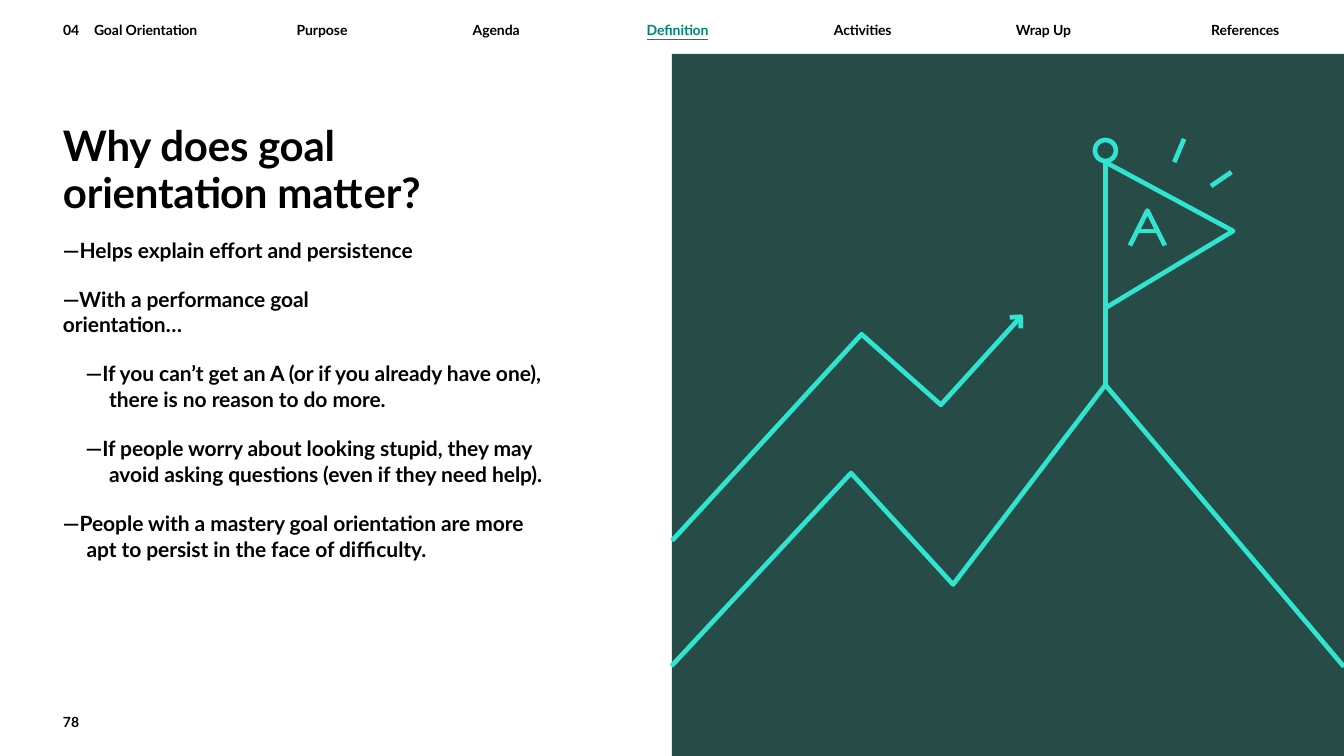
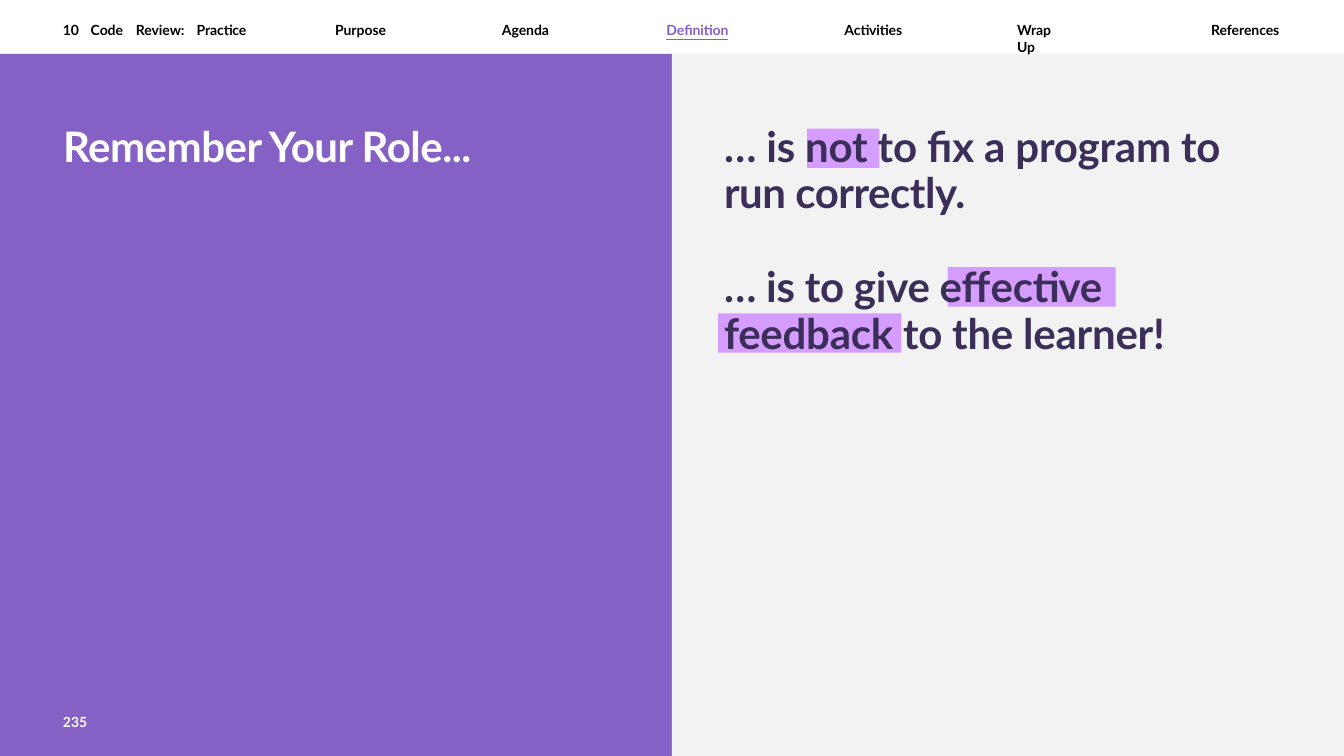
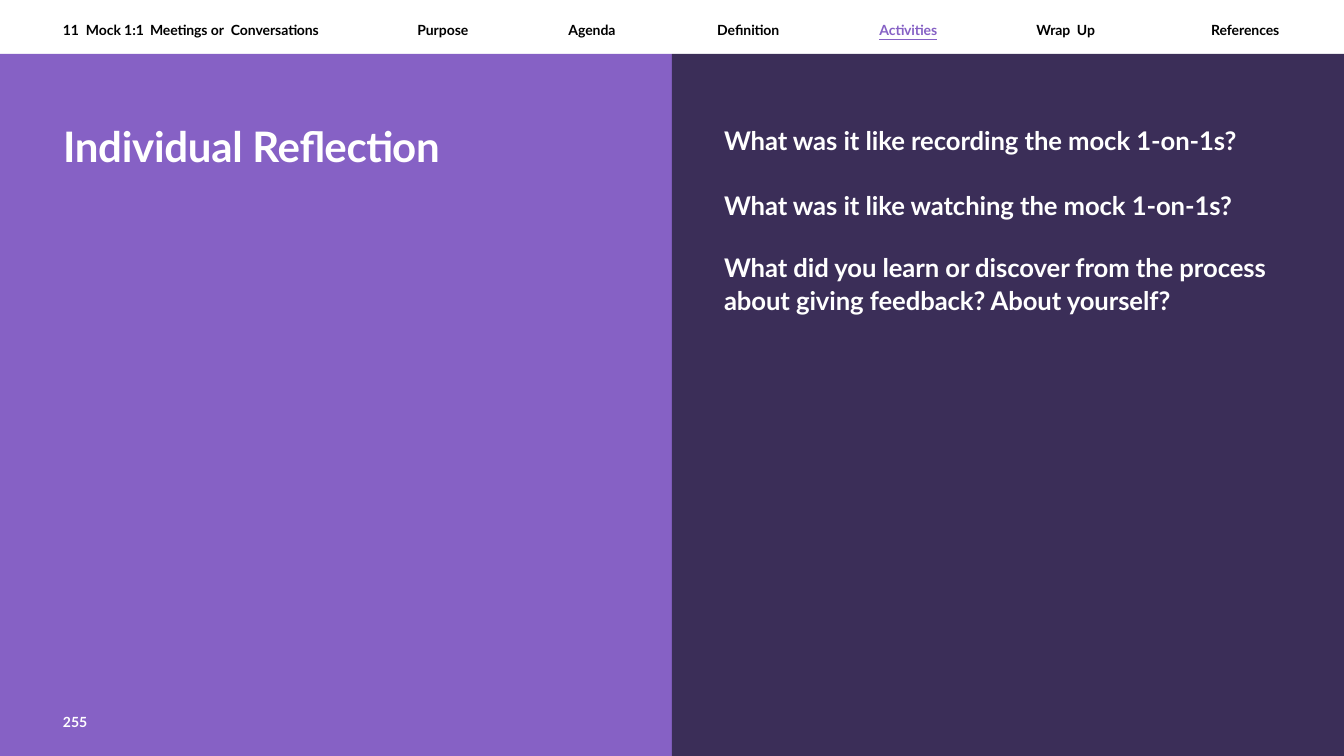
from dataclasses import dataclass
from typing import NamedTuple

from lxml.etree import SubElement
from pptx import Presentation
from pptx.dml.color import RGBColor as Rgb
from pptx.enum.shapes import MSO_CONNECTOR as Connector, MSO_SHAPE as Preset
from pptx.enum.text import MSO_ANCHOR as Anchor
from pptx.oxml.ns import qn
from pptx.util import Pt


# Theme: colours, type sizes and the shared frame
@dataclass(frozen=True)
class Theme:
    font: str = "Lato"
    black: str = "000000"
    white: str = "FFFFFF"
    grey: str = "F2F2F2"
    purple: str = "8661C5"
    plum: str = "3B2E58"
    lilac: str = "D59DFF"
    forest: str = "274B47"
    teal: str = "008575"
    aqua: str = "30E5D0"
    title: float = 36
    question: float = 22
    body: float = 18
    small: float = 12
    stroke: float = 4
    width: float = 1152
    height: float = 648
    band: float = 46
    margin: float = 54
    right_column: float = 620.6
    title_top: float = 103


THEME = Theme()
HALF = THEME.width / 2


class Box(NamedTuple):
    left: float
    top: float
    width: float
    height: float


@dataclass(frozen=True)
class Para:
    text: str
    size: float
    color: str
    spacing: float = 0
    before: float = 0
    line: float | None = None  # a multiple of the line height
    line_points: float | None = None
    left: float = 0
    first: float = 0
    tabs: tuple[float, ...] = ()
    underline: bool = False


@dataclass(frozen=True)
class Nav:
    topic: str
    tabs: tuple[float, ...]
    start: float
    gap: float
    active: str
    accent: str
    wrap_up: str = "Wrap Up"
    wrap_tabs: tuple[float, ...] = ()


# Drawing helpers
def points(box: Box) -> list:
    return [Pt(length) for length in box]


def add_text(slide, box: Box, *paras: Para) -> None:
    frame = slide.shapes.add_textbox(*points(box)).text_frame
    layout = dict(word_wrap=True, vertical_anchor=Anchor.TOP, margin_left=0,
                  margin_right=0, margin_top=0, margin_bottom=0)
    for name, value in layout.items():
        setattr(frame, name, value)
    for index, para in enumerate(paras):
        paragraph = frame.add_paragraph() if index else frame.paragraphs[0]
        write_paragraph(paragraph, para)


def write_paragraph(paragraph, para: Para) -> None:
    paragraph.text = para.text
    properties = paragraph._p.get_or_add_pPr()
    if para.tabs:
        stops = SubElement(properties, qn("a:tabLst"))
        for stop in para.tabs:
            SubElement(stops, qn("a:tab"), pos=str(Pt(stop)), algn="l")
    if para.left:
        properties.set("marL", str(Pt(para.left)))
        properties.set("indent", str(Pt(para.first)))
    if para.before:
        paragraph.space_before = Pt(para.before)
    if para.line_points:
        paragraph.line_spacing = Pt(para.line_points)
    elif para.line:
        paragraph.line_spacing = para.line
    look = dict(name=THEME.font, size=Pt(para.size), bold=True,
                underline=para.underline)
    for run in paragraph.runs:
        for name, value in look.items():
            setattr(run.font, name, value)
        run.font.color.rgb = Rgb.from_string(para.color)
        run._r.get_or_add_rPr().set("spc", str(round(para.spacing * 100)))


def add_block(slide, box: Box, color: str) -> None:
    block = slide.shapes.add_shape(Preset.RECTANGLE, *points(box))
    block.shadow.inherit = False
    block.fill.solid()
    block.fill.fore_color.rgb = Rgb.from_string(color)
    block.line.fill.background()


def set_stroke(line) -> None:
    line.color.rgb = Rgb.from_string(THEME.aqua)
    line.width = Pt(THEME.stroke)


def add_outline(shape) -> None:
    shape.shadow.inherit = False
    shape.fill.background()
    set_stroke(shape.line)


def add_polyline(slide, *corners: tuple[float, float]) -> None:
    start, *rest = [(Pt(x), Pt(y)) for x, y in corners]
    builder = slide.shapes.build_freeform(*start, scale=1.0)
    builder.add_line_segments(rest, close=False)
    add_outline(builder.convert_to_shape())


def add_stroke(slide, x1: float, y1: float, x2: float, y2: float) -> None:
    stroke = slide.shapes.add_connector(
        Connector.STRAIGHT, Pt(x1), Pt(y1), Pt(x2), Pt(y2))
    set_stroke(stroke.line)
    SubElement(stroke._element.spPr, qn("a:effectLst"))


# Shared frame: panels, navigation, title, page number
def add_panels(slide, left: str, right: str) -> None:
    depth = THEME.height - THEME.band
    add_block(slide, Box(0, THEME.band, HALF, depth), left)
    add_block(slide, Box(HALF, THEME.band, HALF, depth), right)
    add_block(slide, Box(0, 0, THEME.width, THEME.band), THEME.white)


def add_nav(slide, nav: Nav) -> None:
    def add_entry(text: str, left: float, width: float,
                  tabs: tuple[float, ...] = ()) -> None:
        active = text == nav.active
        color = nav.accent if active else THEME.black
        add_text(slide, Box(left, 18.7, width + 6, 16.5),
                 Para(text, THEME.small, color, -0.06, tabs=tabs,
                      underline=active))

    add_entry(nav.topic, THEME.margin, nav.start - THEME.margin - 20, nav.tabs)
    left = nav.start
    for text, width in (("Purpose", 46), ("Agenda", 44),
                        ("Definition", 55.5), ("Activities", 51)):
        add_entry(text, left, width)
        left += width + nav.gap
    add_entry(nav.wrap_up, left, 56, nav.wrap_tabs)
    add_entry("References", 1038.2, 61)


def add_title(slide, text: str, spacing: float) -> None:
    add_text(slide, Box(THEME.margin, THEME.title_top, 400, 45),
             Para(text, THEME.title, THEME.white, spacing))


def add_page_number(slide, number: int, color: str) -> None:
    add_text(slide, Box(THEME.margin, 612, 30, 16),
             Para(str(number), THEME.small, color))


# Slide 1: mountain with a flag beside the reasons
def add_mountain(slide) -> None:
    peak, pole_top = (947.5, 330), (947.5, 139)
    add_polyline(slide, (575.5, 571), (729.5, 405.5), (817, 501), peak,
                 (1152, 571.5))
    add_polyline(slide, peak, pole_top, (1057, 198), (947.5, 264))
    # Letter on the flag
    add_polyline(slide, (968.5, 210.5), (983.5, 180.5), (998.5, 210.5))
    add_stroke(slide, 975, 198, 992, 198)
    # Knob on the pole
    add_outline(slide.shapes.add_shape(
        Preset.OVAL, *points(Box(938.5, 120, 18, 18))))
    # Rising arrow
    tip = (875, 271.5)
    add_polyline(slide, (576, 463.5), (738.5, 286.5), (806.5, 347), tip)
    add_polyline(slide, (865.5, 272), tip, (875, 281.5))
    # Sparks
    add_stroke(slide, 1015, 119, 1006.5, 139)
    add_stroke(slide, 1038, 159.5, 1055.5, 147.5)


def build_goal_slide(slide) -> None:
    add_panels(slide, THEME.white, THEME.forest)
    add_mountain(slide)

    def reason(text: str, before: float = 20.2, left: float = 0,
               line: float | None = None) -> Para:
        return Para(text, THEME.body, THEME.black, -0.06, before, line,
                    left=left, first=-20.2 if left else 0)

    add_text(
        slide, Box(THEME.margin, 105.8, 437, 363),
        Para("Why does goal\vorientation matter?", THEME.title, THEME.black,
             -0.2, line_points=40),
        reason("—Helps explain effort and persistence", 18),
        reason("—With a performance goal\vorientation…"),
        reason("—If you can’t get an A (or if you already have one),\v"
               "there is no reason to do more.", left=39.6, line=1.02),
        reason("—If people worry about looking stupid, they may\v"
               "avoid asking questions (even if they need help).",
               left=39.6, line=1.02),
        reason("—People with a mastery goal orientation are more\v"
               "apt to persist in the face of difficulty.",
               left=20.2, line=1.02))
    add_page_number(slide, 78, THEME.black)
    add_nav(slide, Nav("04\tGoal Orientation", (26.6,), 254.2, 105,
                       "Definition", THEME.teal))


# Slide 2: the reviewer's role
def build_role_slide(slide) -> None:
    add_panels(slide, THEME.purple, THEME.grey)
    add_title(slide, "Remember Your Role...", -0.42)
    add_nav(slide, Nav("10\tCode\tReview:\tPractice", (23.8, 62.6, 114.5),
                       287.3, 97, "Definition", THEME.purple, "Wrap\vUp"))
    for highlight in (Box(691.9, 110.2, 61.9, 33.8),
                      Box(812.2, 229, 144, 33.8),
                      Box(615.6, 268.6, 157, 33.8)):
        add_block(slide, highlight, THEME.lilac)
    add_text(slide, Box(THEME.right_column, THEME.title_top, 470, 45),
             Para("… is not to fix a program to", THEME.title, THEME.plum,
                  -0.15))
    add_text(slide, Box(THEME.right_column, 142.6, 420, 164),
             Para("run correctly.", THEME.title, THEME.plum, -0.4),
             Para("… is to give effective\vfeedback to the learner!",
                  THEME.title, THEME.plum, -0.2, 40.8, line_points=40))
    add_page_number(slide, 235, THEME.white)


# Slide 3: reflection questions
def build_reflection_slide(slide) -> None:
    add_panels(slide, THEME.purple, THEME.plum)
    add_title(slide, "Individual Reflection", -0.25)

    def question(text: str, before: float = 0,
                 line: float | None = None) -> Para:
        return Para(text, THEME.question, THEME.white, -0.07, before, line)

    add_text(slide, Box(THEME.right_column, 106.6, 483, 28),
             question("What was it like recording the mock 1-on-1s?"))
    add_text(slide, Box(THEME.right_column, 162.7, 483, 112),
             question("What was it like watching the mock 1-on-1s?"),
             question("What did you learn or discover from the process\v"
                      "about giving feedback? About yourself?", 25.3, 1.06))
    add_page_number(slide, 255, THEME.white)
    add_nav(slide, Nav("11\tMock 1:1\tMeetings or\tConversations",
                       (19.7, 74.6, 144), 357.8, 83.5, "Activities",
                       THEME.purple, "Wrap\tUp", (34.8,)))


def main() -> None:
    deck = Presentation()
    deck.slide_width, deck.slide_height = Pt(THEME.width), Pt(THEME.height)
    blank = deck.slide_layouts[6]
    for build in (build_goal_slide, build_role_slide, build_reflection_slide):
        build(deck.slides.add_slide(blank))
    deck.save("out.pptx")


if __name__ == "__main__":
    main()
